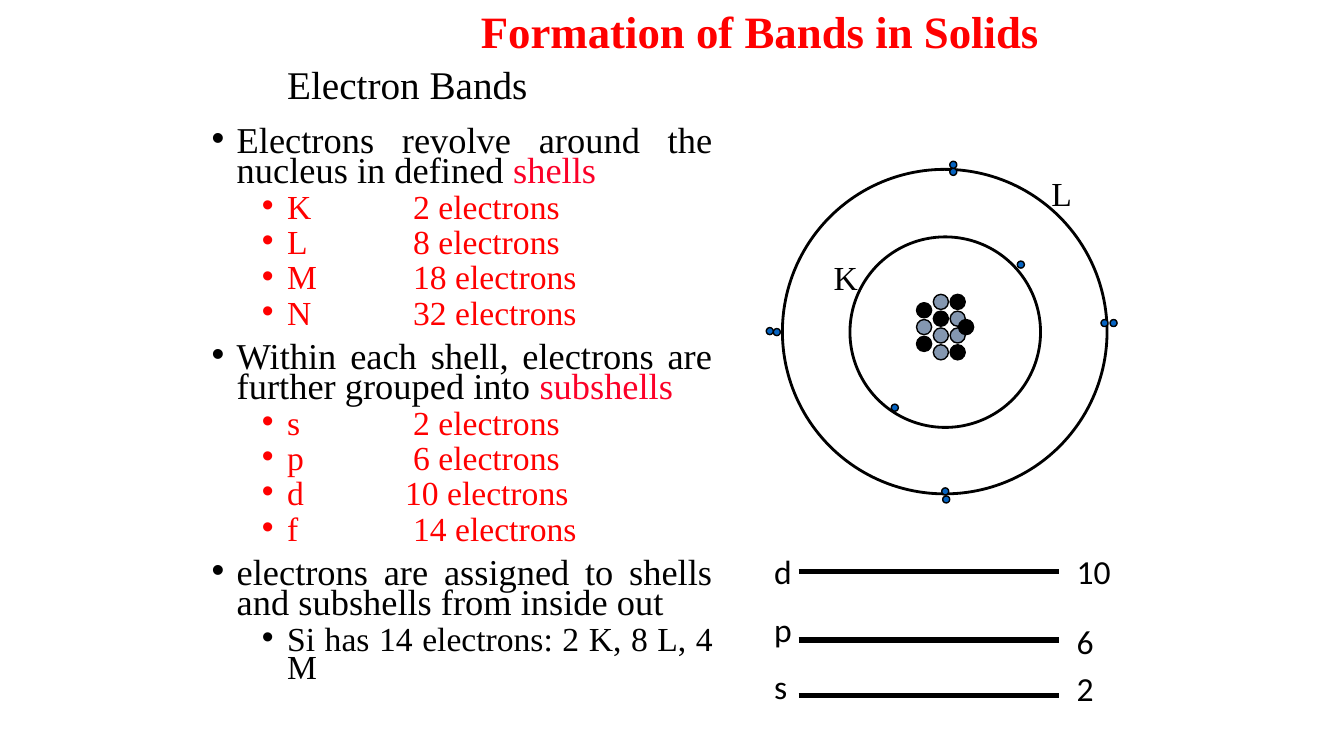
from lxml import etree
from pptx import Presentation
from pptx.dml.color import RGBColor
from pptx.enum.shapes import MSO_CONNECTOR, MSO_SHAPE
from pptx.enum.text import MSO_ANCHOR, PP_ALIGN
from pptx.oxml.ns import qn
from pptx.util import Inches, Pt

OVAL = MSO_SHAPE.OVAL
LINE = MSO_CONNECTOR.STRAIGHT
MID = MSO_ANCHOR.MIDDLE
JUST = PP_ALIGN.JUSTIFY

HUES = {"ink": "000000", "red": "FF0000", "rose": "FC0128",
        "grey": "8497B0", "blue": "0563C1"}
SERIF, SANS = "Times New Roman", "Calibri"

BODY = [
    (0, [("Electrons revolve around the nucleus in defined ", "ink"),
         ("shells", "rose")], None),
    (1, [("K\t2 electrons", "red")], 2),
    (1, [("L\t8 electrons", "red")], 2),
    (1, [("M\t18 electrons", "red")], 2),
    (1, [("N\t32 electrons", "red")], 2),
    (0, [("Within each shell, electrons are further grouped into ", "ink"),
         ("subshells", "rose")], None),
    (1, [("s\t2 electrons", "red")], 2),
    (1, [("p\t6 electrons", "red")], 2),
    (1, [("d\t10 electrons", "red")], 1.92),
    (1, [("f\t14 electrons", "red")], 2),
    (0, [("electrons are assigned to shells and subshells from inside out",
          "ink")], None),
    (1, [("Si has 14 electrons: 2 K, 8 L, 4 M", "ink")], None),
]
LEVELS = [(26, 0.25, 10), (24, 0.75, 5)]

LABELS = [
    (["K"], SERIF, 8.17, 2.5, 0.42, 0.51),
    (["L"], SERIF, 10.33, 1.67, 0.42, 0.51),
    (["d", "p", "s"], SANS, 7.58, 5.42, 0.42, 1.72),
    (["10"], SANS, 10.58, 5.42, 0.75, 0.51),
    (["6"], SANS, 10.58, 6.11, 0.92, 0.51),
    (["2"], SANS, 10.58, 6.58, 0.92, 0.51),
]
BARS = [5.67, 6.35, 6.9]
RINGS = [(8.43, 2.35, 1.89), (7.76, 1.68, 3.22)]
CORE = [
    (0, {1: "ink", 3: "grey", 5: "ink"}),
    (2, {0: "grey", 2: "ink", 4: "grey", 6: "grey"}),
    (4, {0: "ink", 2: "grey", 4: "grey", 6: "ink"}),
    (5, {3: "ink"}),
]
DOTS = [(9.34, 4.84), (9.35, 4.92), (8.84, 4.01), (10.09, 2.59),
        (9.42, 1.67), (9.42, 1.6), (10.92, 3.17), (11.01, 3.17),
        (7.67, 3.26), (7.6, 3.25)]

deck = Presentation()
deck.slide_width, deck.slide_height = Inches(13.33), Inches(7.5)
slide = deck.slides.add_slide(deck.slide_layouts[6])
items = slide.shapes


def hue(name):
    return RGBColor.from_string(HUES[name])


def style(font, face, size, name, bold=False):
    font.name, font.size, font.bold = face, Pt(size), bold
    font.color.rgb = hue(name)


def frame(*area):
    text = items.add_textbox(*map(Inches, area)).text_frame
    text.word_wrap = True
    return text


def label(lines, face, *area, size=24, name="ink", bold=False):
    text = frame(*area)
    text.text = "\n".join(lines)
    for i, para in enumerate(text.paragraphs):
        if i:
            para.space_before = Pt(size / 2)
        style(para.runs[0].font, face, size, name, bold)
    return text


def ball(x, y, side, fill, width):
    oval = items.add_shape(OVAL, *map(Inches, (x, y, side, side)))
    oval.shadow.inherit = False
    if fill:
        oval.fill.solid()
        oval.fill.fore_color.rgb = hue(fill)
    else:
        oval.fill.background()
    oval.line.color.rgb = hue("ink")
    oval.line.width = Pt(width)


def bullet(para, left, stop):
    props = para._p.get_or_add_pPr()
    props.set("marL", str(Inches(left)))
    props.set("indent", str(Inches(-0.25)))
    etree.SubElement(props, qn("a:buFont"), typeface="Arial")
    etree.SubElement(props, qn("a:buChar"), char="•")
    if stop:
        tabs = etree.SubElement(props, qn("a:tabLst"))
        etree.SubElement(tabs, qn("a:tab"), pos=str(Inches(stop)), algn="l")


head = label(["Electron Bands"], SERIF, 2.75, 0.51, 8.58, 0.71, size=28)
head.vertical_anchor = MID
head.paragraphs[0].line_spacing = 0.9

body = frame(2, 1.23, 5.17, 5.83)
for i, (level, parts, stop) in enumerate(BODY):
    para = body.add_paragraph() if i else body.paragraphs[0]
    size, left, gap = LEVELS[level]
    para.level = level
    bullet(para, left, stop)
    para.alignment, para.line_spacing = JUST, 0.7
    if i:
        para.space_before = Pt(gap)
    for words, name in parts:
        run = para.add_run()
        run.text = words
        style(run.font, SERIF, size, name)

for y in BARS:
    bar = items.add_connector(LINE, *map(Inches, (7.92, y, 10.5, y)))
    bar.line.color.rgb = hue("ink")
    bar.line.width = Pt(4)
    etree.SubElement(bar._element.spPr, qn("a:effectLst"))

for x, y, side in RINGS:
    ball(x, y, side, None, 2)
for col, cells in CORE:
    for row, name in cells.items():
        ball(9.09 + col / 12, 2.92 + row / 12, 0.15, name, 1)
for x, y in DOTS:
    ball(x, y, 0.07, "blue", 1)
for spec in LABELS:
    label(*spec)

title = label(["Formation of Bands in Solids"], SERIF, 4.67, -0.01, 5.78, 0.64,
              size=32, name="red", bold=True)
title.word_wrap = False

deck.save("out.pptx")
